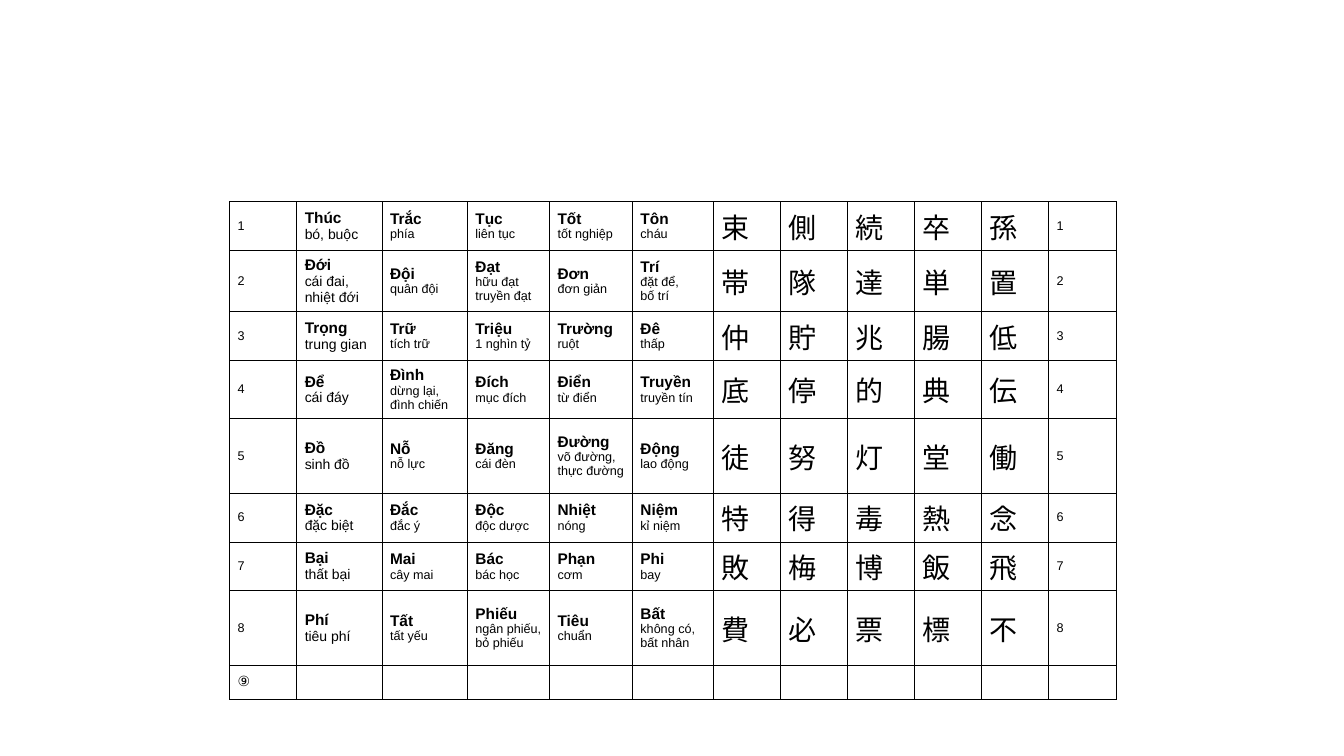
from lxml import etree
from pptx import Presentation
from pptx import util as u
from pptx.dml.color import RGBColor
from pptx.enum import lang, text
from pptx.oxml.ns import qn

COLORS = {"ink": "000000"}
LABEL = {"size": u.Pt(9), "name": "Arial"}
WORD = {"size": u.Pt(11), "name": "Arial", "bold": True}
KANJI = {"size": u.Pt(20), "name": "Roboto", "language_id": lang.MSO_LANGUAGE_ID.JAPANESE}
LAST_LABEL = {"size": u.Pt(10), "name": "Roboto"}
CELL = {"margin_left": u.Cm(0.2), "margin_right": u.Cm(0.2),
        "margin_top": u.Cm(0.1), "margin_bottom": u.Cm(0.1),
        "vertical_anchor": text.MSO_ANCHOR.MIDDLE}

COLUMN_WIDTHS = [1.69, 2.15, 2.15, 2.07, 2.09, 2.04] + [1.69] * 6
ROW_HEIGHTS = [1.12, 1.55, 1.12, 1.47, 1.88, 1.12, 1.12, 1.88, 0.86]

# Each reading is followed by its meaning; the kanji stand in the same order.
LESSONS = [
    (["Thúc|bó, buộc", "Trắc|phía", "Tục|liên tục", "Tốt|tốt nghiệp", "Tôn|cháu"],
     "束側続卒孫"),
    (["Đới|cái đai,\nnhiệt đới", "Đội|quân đội", "Đạt|hữu đạt\ntruyền đạt",
      "Đơn|đơn giản", "Trí|đặt để,\nbố trí"], "帯隊達単置"),
    (["Trọng|trung gian", "Trữ|tích trữ", "Triệu|1 nghìn tỷ", "Trường|ruột", "Đê|thấp"],
     "仲貯兆腸低"),
    (["Để|cái đáy", "Đình|dừng lại,\nđình chiến", "Đích|mục đích", "Điển|từ điển",
      "Truyền|truyền tín"], "底停的典伝"),
    (["Đồ|sinh đồ", "Nỗ|nỗ lực", "Đăng|cái đèn", "Đường|võ đường,\nthực đường",
      "Động|lao động"], "徒努灯堂働"),
    (["Đặc|đặc biệt", "Đắc|đắc ý", "Độc|độc dược", "Nhiệt|nóng", "Niệm|kỉ niệm"],
     "特得毒熱念"),
    (["Bại|thất bại", "Mai|cây mai", "Bác|bác học", "Phạn|cơm", "Phi|bay"],
     "敗梅博飯飛"),
    (["Phí|tiêu phí", "Tất|tất yếu", "Phiếu|ngân phiếu,\nbỏ phiếu", "Tiêu|chuẩn",
      "Bất|không có,\nbất nhân"], "費必票標不"),
]


def add_lines(para, content, style):
    """Add each line of content as a run, with line breaks between them."""
    for number, line in enumerate(content.split("\n")):
        if number:
            para.add_line_break()
        span = para.add_run()
        span.text = line
        span.font.color.rgb = RGBColor.from_string(COLORS["ink"])
        for name, value in style.items():
            setattr(span.font, name, value)


def add_borders(cell):
    properties = cell._tc.get_or_add_tcPr()
    for position, side in enumerate(("a:lnL", "a:lnR", "a:lnT", "a:lnB")):
        line = etree.Element(qn(side), w=str(u.Pt(0.5)))
        fill = etree.SubElement(line, qn("a:solidFill"))
        etree.SubElement(fill, qn("a:srgbClr"), val=COLORS["ink"])
        properties.insert(position, line)


deck = Presentation()
deck.slide_width, deck.slide_height = u.Cm(33.87), u.Cm(19.05)
page = deck.slides.add_slide(deck.slide_layouts[6])

frame = page.shapes.add_table(len(ROW_HEIGHTS), len(COLUMN_WIDTHS), u.Cm(5.79), u.Cm(5.08),
                              u.Cm(sum(COLUMN_WIDTHS)), u.Cm(sum(ROW_HEIGHTS)))
table = frame.table
table.first_row = table.horz_banding = False
for column, width in zip(table.columns, COLUMN_WIDTHS):
    column.width = u.Cm(width)
for row, height in zip(table.rows, ROW_HEIGHTS):
    row.height = u.Cm(height)

for cell in table.iter_cells():
    cell.fill.background()
    add_borders(cell)
    for name, value in CELL.items():
        setattr(cell, name, value)

for row, (readings, kanji) in enumerate(LESSONS):
    paras = [cell.text_frame.paragraphs[0] for cell in table.rows[row].cells]
    for para in (paras[0], paras[-1]):
        add_lines(para, str(row + 1), LABEL)
    for column, reading in enumerate(readings, 1):
        word, meaning = reading.split("|")
        add_lines(paras[column], word, WORD)
        paras[column].add_line_break()
        size = u.Pt(10 if column == 1 else 9)
        add_lines(paras[column], meaning, {"size": size, "name": "Arial", "bold": False})
    for para, character in zip(paras[6:], kanji):
        add_lines(para, character, KANJI)

label, *blanks = table.rows[len(LESSONS)].cells
add_lines(label.text_frame.paragraphs[0], "⑨", LAST_LABEL)
for cell in blanks:
    etree.SubElement(cell.text_frame.paragraphs[0]._p, qn("a:endParaRPr"), sz="1000")

deck.save("out.pptx")
